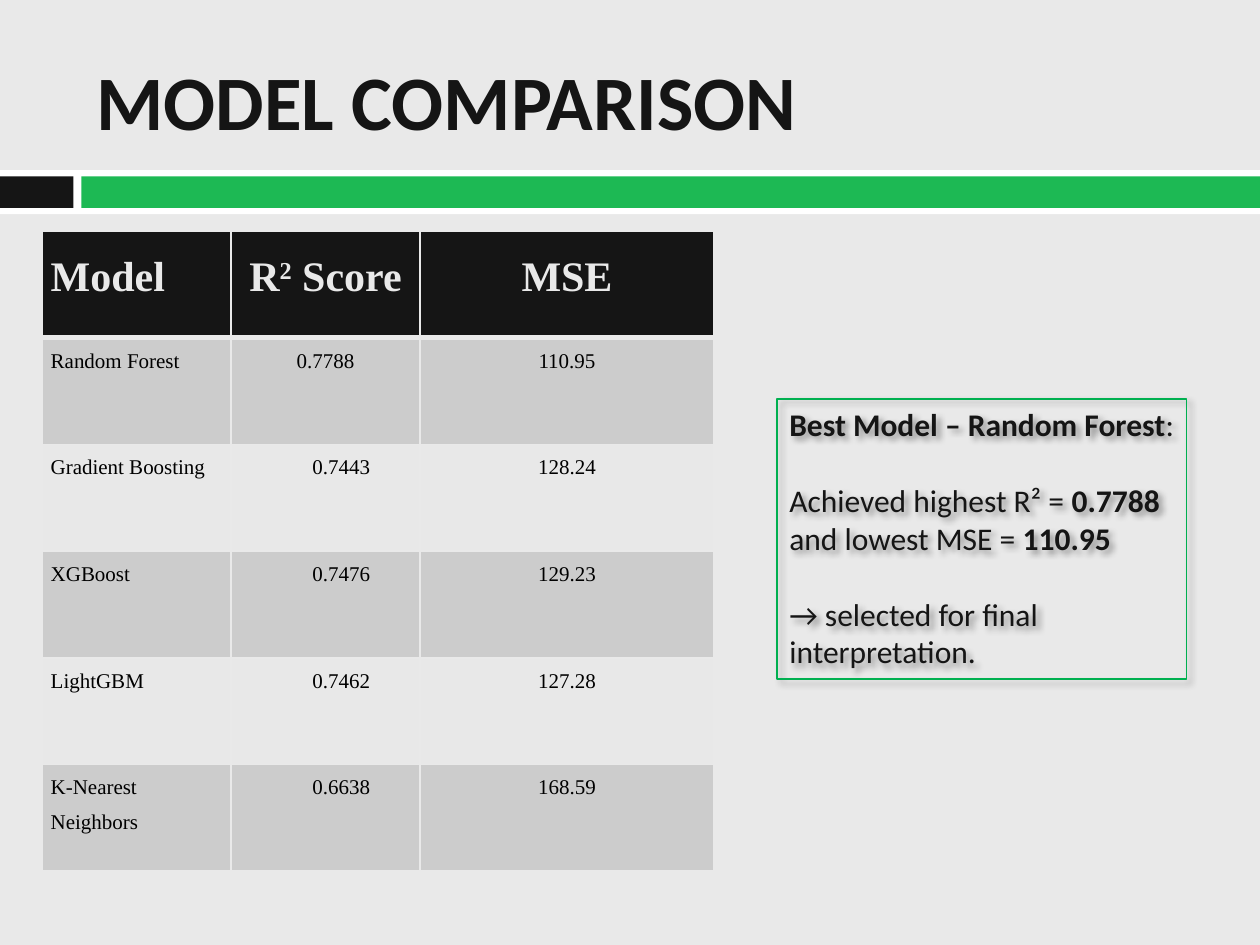
from lxml.etree import SubElement
from pptx import Presentation
from pptx.dml.color import RGBColor
from pptx.enum.shapes import MSO_SHAPE as Shape
from pptx.enum.text import MSO_ANCHOR as Anchor, PP_ALIGN as Align
from pptx.oxml.ns import qn
from pptx.util import Pt

BACKGROUND, INK, GREEN = "E9E9E9", "151515", "1DB954"
BAND_FILLS = ("CCCCCC", "E8E8E8")
TITLE = "MODEL COMPARISON"
BARS = [
    (0, 97.2, 720, 25.2, "FFFFFF"),
    (0, 100.8, 42, 18, INK),
    (46.5, 100.8, 673.5, 18, GREEN),
]
HEADER = [[("Model", 0)], [("R", 0), ("2", 30000), (" Score", 0)], [("MSE", 0)]]
SCORES = [
    ("Random Forest", "0.7788", "110.95"),
    ("Gradient Boosting", "0.7443", "128.24"),
    ("XGBoost", "0.7476", "129.23"),
    ("LightGBM", "0.7462", "127.28"),
    ("K-Nearest Neighbors", "0.6638", "168.59"),
]
COLUMN_WIDTHS = (108, 108, 168)
ROW_HEIGHT = 61
SCORE_INDENT = 18
SUMMARY = [
    (0, [("Best Model – Random Forest", True), (":", False)]),
    (21.75, [("Achieved highest R² = ", False), ("0.7788", True)]),
    (0, [("and lowest MSE = ", False), ("110.95", True)]),
    (21.75, [("→ selected for final interpretation.", False)]),
]


def color(value):
    return RGBColor.from_string(value)


def paint(fill, value):
    fill.solid()
    fill.fore_color.rgb = color(value)


def add_run(paragraph, text, size, font, ink, bold=False, baseline=0):
    run = paragraph.add_run()
    run.text = text
    run.font.size = Pt(size)
    run.font.name = font
    run.font.bold = bold
    run.font.color.rgb = color(ink)
    if baseline:
        run.font._element.set("baseline", str(baseline))


def add_rectangle(slide, left, top, width, height):
    shape = slide.shapes.add_shape(Shape.RECTANGLE, Pt(left), Pt(top), Pt(width), Pt(height))
    shape.shadow.inherit = False
    return shape


def add_shadow(shape):
    effects = shape._element.spPr.find(qn("a:effectLst"))
    shadow = SubElement(effects, qn("a:outerShdw"), blurRad=str(Pt(4)), dist=str(Pt(3)),
                        dir=str(45 * 60000), algn="tl", rotWithShape="0")
    shade = SubElement(shadow, qn("a:srgbClr"), val="000000")
    SubElement(shade, qn("a:alpha"), val="40000")


def set_borders(cell, widths):
    properties = cell._tc.get_or_add_tcPr()
    for side, width in zip("LRTB", widths):
        line = SubElement(properties, qn(f"a:ln{side}"), w=str(Pt(width)))
        fill = SubElement(line, qn("a:solidFill"))
        SubElement(fill, qn("a:srgbClr"), val=BACKGROUND)


def format_cell(cell, column, fill, borders):
    set_borders(cell, borders)
    paint(cell.fill, fill)
    cell.margin_left = cell.margin_right = Pt(5)
    cell.margin_top = cell.margin_bottom = Pt(0)
    paragraph = cell.text_frame.paragraphs[0]
    paragraph.line_spacing = 1.5
    paragraph.alignment = Align.CENTER if column else Align.LEFT
    return paragraph


def add_title(slide):
    frame = slide.shapes.add_textbox(Pt(48), Pt(18), Pt(642), Pt(78)).text_frame
    frame.word_wrap = True
    frame.vertical_anchor = Anchor.MIDDLE
    add_run(frame.paragraphs[0], TITLE, 44, "Calibri", INK, True)


def add_scores(slide):
    row_count = len(SCORES) + 1
    table = slide.shapes.add_table(row_count, len(COLUMN_WIDTHS), Pt(24), Pt(132),
                                   Pt(sum(COLUMN_WIDTHS)), Pt(ROW_HEIGHT * row_count)).table
    for column, width in enumerate(COLUMN_WIDTHS):
        table.columns[column].width = Pt(width)
    for row in table.rows:
        row.height = Pt(ROW_HEIGHT)
    for column, runs in enumerate(HEADER):
        paragraph = format_cell(table.cell(0, column), column, INK, (1, 1, 1, 3))
        for text, baseline in runs:
            add_run(paragraph, text, 24, "Times New Roman", BACKGROUND, True, baseline)
    for row, values in enumerate(SCORES, 1):
        borders = (1, 1, 3 if row == 1 else 1, 1)
        for column, text in enumerate(values):
            fill = BAND_FILLS[(row - 1) % 2]
            paragraph = format_cell(table.cell(row, column), column, fill, borders)
            if column == 1 and row > 1:
                paragraph._p.get_or_add_pPr().set("marL", str(Pt(SCORE_INDENT)))
            add_run(paragraph, text, 12, "Times New Roman", "000000")


def add_summary(slide):
    shape = add_rectangle(slide, 444, 228, 234, 160)
    shape.fill.background()
    shape.line.color.rgb = color("00B050")
    shape.line.width = Pt(0.75)
    add_shadow(shape)
    frame = shape.text_frame
    frame.word_wrap = True
    frame.vertical_anchor = Anchor.TOP
    for index, (gap, runs) in enumerate(SUMMARY):
        paragraph = frame.add_paragraph() if index else frame.paragraphs[0]
        paragraph.alignment = Align.LEFT
        paragraph.space_before = Pt(gap)
        for text, bold in runs:
            add_run(paragraph, text, 18, "Calibri", INK, bold)


def main():
    presentation = Presentation()
    presentation.slide_width, presentation.slide_height = Pt(720), Pt(540)
    slide = presentation.slides.add_slide(presentation.slide_layouts[6])
    paint(slide.background.fill, BACKGROUND)
    for *box, fill in BARS:
        bar = add_rectangle(slide, *box)
        paint(bar.fill, fill)
        bar.line.fill.background()
    add_title(slide)
    add_scores(slide)
    add_summary(slide)
    presentation.save("out.pptx")


if __name__ == "__main__":
    main()
